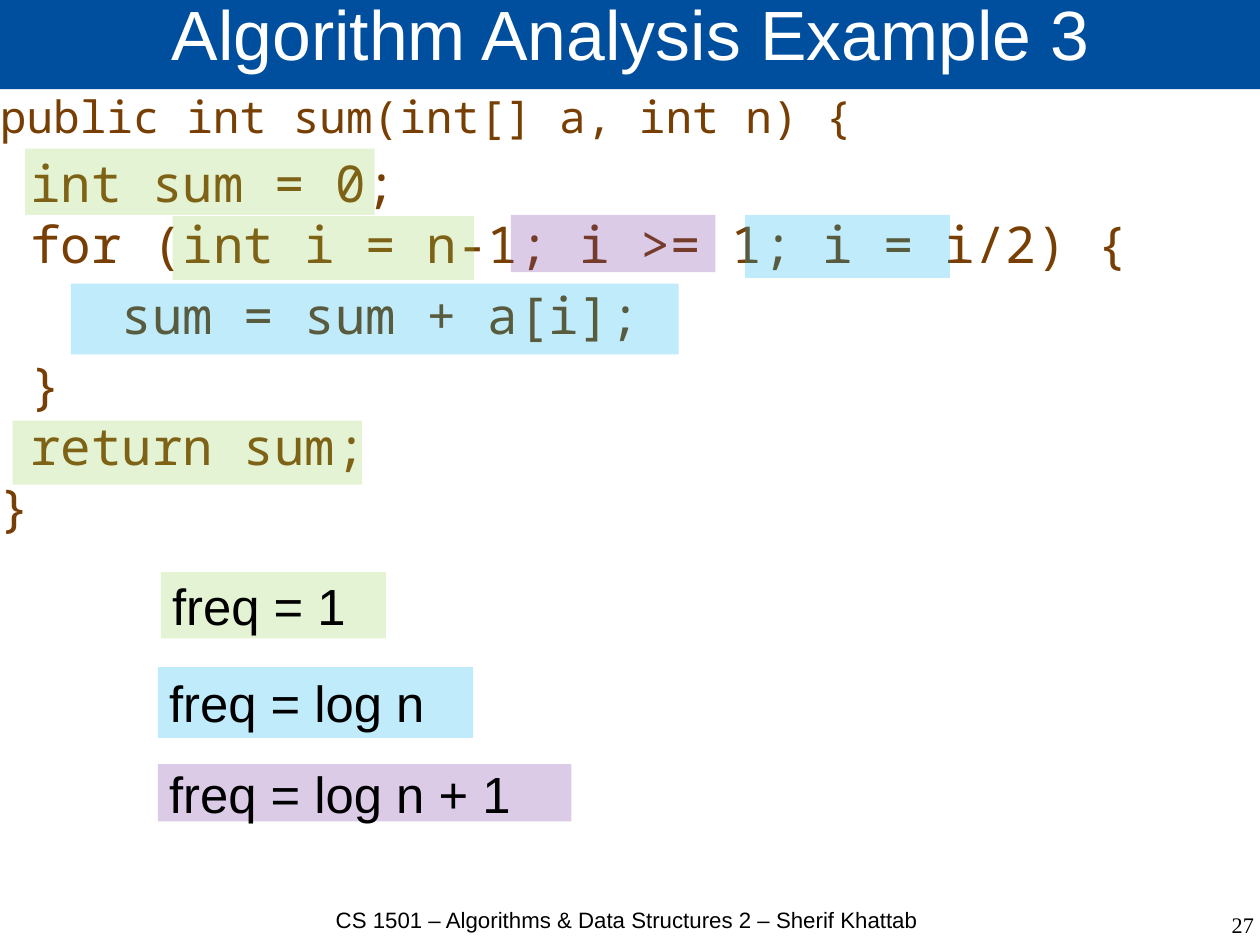
from pptx import Presentation
from pptx.dml.color import RGBColor
from pptx.enum import shapes, text
from pptx.oxml import ns
from pptx.util import Pt
from lxml import etree

BLUE = RGBColor(0x00, 0x4F, 0x9E)
WHITE = RGBColor(0xFF, 0xFF, 0xFF)
BLACK = RGBColor(0x00, 0x00, 0x00)
BROWN = RGBColor(0x78, 0x3F, 0x04)
CYAN = RGBColor(0x00, 0xB0, 0xF0)
GREEN = RGBColor(0x92, 0xD0, 0x50)
PURPLE = RGBColor(0x70, 0x30, 0xA0)

WIDE, HIGH = 793.7, 595.28

CODE = [
    "public int sum(int[] a, int n) {",
    " int sum = 0;\n for (int i = n-1; i >= 1; i = i/2) {",
    "    sum = sum + a[i];",
    " }\n return sum;\n}",
]
MARKS = [
    (CYAN, 44.6, 122.4, 383, 44.6),
    (CYAN, 469.4, 79.2, 129, 39.6),
    (GREEN, 7.9, 208.8, 220.3, 40.3),
    (GREEN, 15.8, 37.4, 220.3, 41.8),
    (GREEN, 108.7, 79.9, 190, 40.3),
    (PURPLE, 321.8, 79.2, 128.9, 36),
]
KEYS = [
    ("freq = log n", CYAN, 0, 59.8, 198.7, 44.6),
    ("freq = 1", GREEN, 2, 0, 141.8, 41.8),
    ("freq = log n + 1", PURPLE, 0, 121, 260.6, 36),
]


def write(frame, lines, size=32, face="Arial", color=BLACK, align="LEFT",
          anchor="TOP", inset=0, space=1.0, before=0, first=None):
    frame.word_wrap = True
    frame.vertical_anchor = text.MSO_ANCHOR[anchor]
    frame.margin_left = frame.margin_right = Pt(inset)
    frame.margin_top = frame.margin_bottom = Pt(inset)
    for i, line in enumerate(lines):
        para = frame.add_paragraph() if i else frame.paragraphs[0]
        para.text = line
        para.alignment = text.PP_ALIGN[align]
        para.line_spacing = space
        para.space_before = Pt(before if i else 0)
        for run in para.runs:
            run.font.size = Pt(size if i or not first else first)
            run.font.name = face
            run.font.color.rgb = color


def label(slide, box, lines, **form):
    area = slide.shapes.add_textbox(*map(Pt, box))
    write(area.text_frame, lines, **form)


def block(slide, box, color, alpha=None):
    rect = slide.shapes.add_shape(shapes.MSO_SHAPE.RECTANGLE, *map(Pt, box))
    rect.shadow.inherit = False
    rect.fill.solid()
    rect.fill.fore_color.rgb = color
    rect.line.fill.background()
    if alpha:
        tone = rect.fill._xPr.find(".//" + ns.qn("a:srgbClr"))
        etree.SubElement(tone, ns.qn("a:alpha")).set("val", str(alpha * 1000))
    return rect


def title(slide, box):
    band = block(slide, box, BLUE)
    write(band.text_frame, ["Algorithm Analysis Example 3"], size=43.9,
          color=WHITE, align="CENTER", anchor="MIDDLE", space=0.69)


def code(slide, box):
    label(slide, box, CODE, first=28, face="Noto Sans Mono", color=BROWN,
          before=6)


def marks(slide, box):
    left, top = box[:2]
    for color, x, y, wide, high in MARKS:
        block(slide, (left + x, top + y, wide, high), color, 25)


def keys(slide, box):
    left, top = box[:2]
    for name, color, x, y, wide, high in KEYS:
        rect = block(slide, (left + x, top + y, wide, high), color, 25)
        write(rect.text_frame, [name], anchor="MIDDLE", inset=7.2)


def foot(slide, box):
    left, top, wide, high = box
    label(slide, (left + 195.8, top, 398.2, high),
          ["CS 1501 – Algorithms & Data Structures 2 – Sherif Khattab"],
          size=14, align="CENTER", space=0.96)
    label(slide, (left + 607.7, top + 3.6, 182.2, high), ["27"],
          size=14, face="Times New Roman", align="RIGHT", space=0.96)


def main():
    deck = Presentation()
    deck.slide_width, deck.slide_height = Pt(WIDE), Pt(HIGH)
    slide = deck.slides.add_slide(deck.slide_layouts[6])
    title(slide, (0, -1.8, 794.9, 58))
    code(slide, (0, 56.2, 794.9, 517))
    foot(slide, (0, 571.7, WIDE, 39.6))
    marks(slide, (0, 56.2, WIDE, 250))
    keys(slide, (99.4, 360.4, 261, 157))
    deck.save("out.pptx")


if __name__ == "__main__":
    main()
